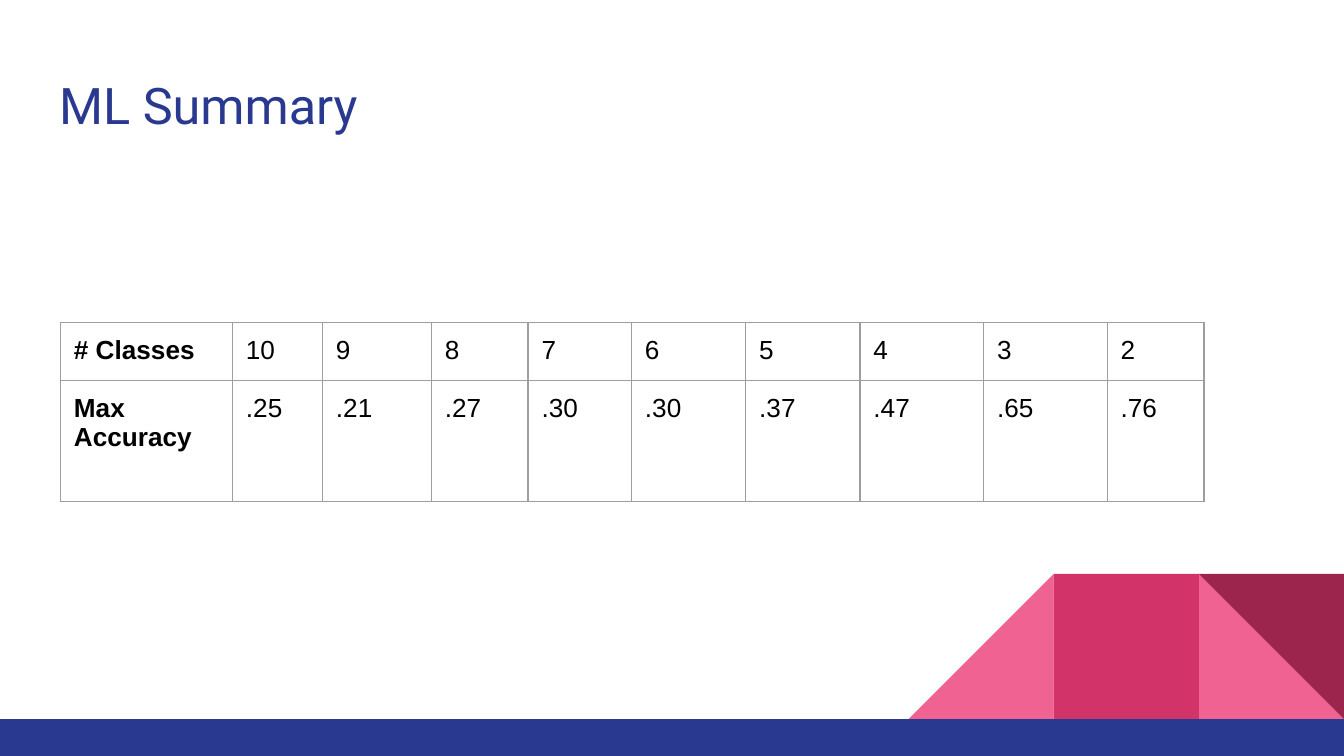
from lxml import etree
from pptx import Presentation
from pptx.dml.color import RGBColor
from pptx.enum import shapes, text
from pptx.oxml.ns import qn
from pptx.util import Inches, Pt


def paint(fmt, color):
    fmt.solid()
    fmt.fore_color.rgb = RGBColor.from_string(color)


def write(box, frame, words, font, size, color, bold=False):
    box.margin_left = box.margin_right = Inches(0.1)
    box.margin_top = box.margin_bottom = Inches(0.1)
    para = frame.paragraphs[0]
    para.alignment = text.PP_ALIGN.LEFT
    run = para.add_run()
    run.text = words
    run.font.name = font
    run.font.size = Pt(size)
    run.font.bold = bold
    paint(run.font.fill, color)


# Widescreen page, 16 to 9
wide = 10
high = wide * 9 / 16
deck = Presentation()
deck.slide_width, deck.slide_height = Inches(wide), Inches(high)
slide = deck.slides.add_slide(deck.slide_layouts[5])
paint(slide.background.fill, "FFFFFF")

# Corner tiles and bottom bar
side, top = 1.08, 4.27
base = top + side
right = wide - side
kind = shapes.MSO_SHAPE
tiles = [
    (kind.RIGHT_TRIANGLE, right, top, side, side, 0, "F06292"),
    (kind.RIGHT_TRIANGLE, right - 2 * side, top, side, side, 270, "F06292"),
    (kind.RECTANGLE, right - side, top, side, side, 0, "D23369"),
    (kind.RIGHT_TRIANGLE, right, top, side, side, 180, "9C254D"),
    (kind.RECTANGLE, 0, base, wide, high - base, 0, "2A3990"),
]
for form, x, y, w, h, turn, color in tiles:
    tile = slide.shapes.add_shape(form, Inches(x), Inches(y), Inches(w), Inches(h))
    tile.rotation = turn
    tile.shadow.inherit = False
    tile.line.fill.background()
    paint(tile.fill, color)

# Title
title = slide.shapes.title
title.left, title.top = Inches(0.34), Inches(0.45)
title.width, title.height = Inches(9.32), Inches(0.66)
frame = title.text_frame
frame.word_wrap = True
frame.auto_size = text.MSO_AUTO_SIZE.NONE
frame.vertical_anchor = text.MSO_ANCHOR.MIDDLE
write(frame, frame, "ML Summary", "Roboto", 27, "2A3990")

# Accuracy table
data = [
    ["# Classes", "10", "9", "8", "7", "6", "5", "4", "3", "2"],
    ["Max Accuracy", ".25", ".21", ".27", ".30", ".30", ".37", ".47", ".65", ".76"],
]
widths = [1.28, 0.67, 0.81, 0.72, 0.77, 0.85, 0.85, 0.92, 0.92, 0.72]
heights = [0.43, 0.9]
table = slide.shapes.add_table(
    len(heights), len(widths), Inches(0.45), Inches(2.4),
    Inches(sum(widths)), Inches(sum(heights))).table
table.first_row = table.horz_banding = False
for col, width in zip(table.columns, widths):
    col.width = Inches(width)
for row, height, words in zip(table.rows, heights, data):
    row.height = Inches(height)
    for i, (cell, word) in enumerate(zip(row.cells, words)):
        write(cell, cell.text_frame, word, "Arial", 14, "000000", bold=i == 0)
        # Borders come before the fill in the cell properties
        props = cell._tc.get_or_add_tcPr()
        for edge in ("a:lnL", "a:lnR", "a:lnT", "a:lnB"):
            line = etree.SubElement(props, qn(edge), w=str(Pt(0.75)))
            fill = etree.SubElement(line, qn("a:solidFill"))
            etree.SubElement(fill, qn("a:srgbClr"), val="9E9E9E")
        cell.fill.background()

deck.save("out.pptx")
